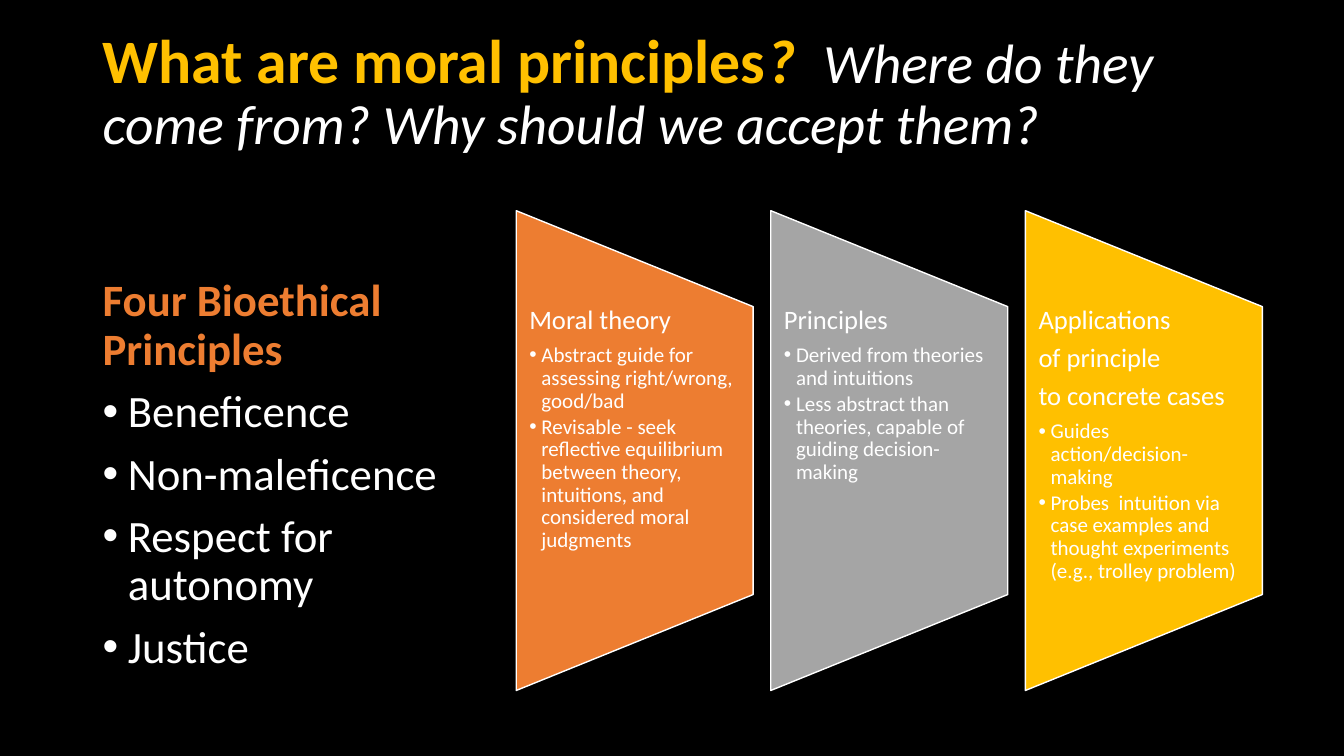
from dataclasses import dataclass

from lxml.etree import SubElement
from pptx import Presentation
from pptx.dml.color import RGBColor
from pptx.enum.shapes import MSO_SHAPE as Shape
from pptx.enum.text import MSO_ANCHOR as Anchor
from pptx.oxml.ns import qn
from pptx.util import Inches, Pt


@dataclass(frozen=True)
class Theme:
    font: str = "Calibri"
    back: str = "000000"
    text: str = "FFFFFF"
    orange: str = "ED7D31"
    grey: str = "A5A5A5"
    gold: str = "FFC000"
    title: float = 44.1
    subtitle: float = 39.6
    body: float = 32
    heading: float = 19
    detail: float = 15


THEME = Theme()
WIDTH, HEIGHT = 13.33, 7.5

PRINCIPLES = ["Beneficence", "Non-maleficence", "Respect for autonomy", "Justice"]
STAGES = [
    (THEME.orange, ["Moral theory"],
     ["Abstract guide for assessing right/wrong, good/bad",
      "Revisable - seek reflective equilibrium between theory,  intuitions, "
      "and considered moral judgments"]),
    (THEME.grey, ["Principles"],
     ["Derived from theories and intuitions",
      "Less abstract than theories, capable of guiding decision-making"]),
    (THEME.gold, ["Applications", "of principle", "to concrete cases"],
     ["Guides action/decision-making",
      "Probes  intuition via case examples and thought experiments "
      "(e.g., trolley problem)"]),
]


def add_text_box(page, box, side=0.1, top=0.05, bottom=0.05, anchor=Anchor.TOP):
    frame = page.shapes.add_textbox(*map(Inches, box)).text_frame
    frame.word_wrap = True
    frame.vertical_anchor = anchor
    frame.margin_left = frame.margin_right = Inches(side)
    frame.margin_top, frame.margin_bottom = Inches(top), Inches(bottom)
    return frame


def add_para(frame, first=False, before=0, after=0, indent=0):
    """Add a paragraph; an indent above zero makes it a bullet."""
    para = frame.paragraphs[0] if first else frame.add_paragraph()
    para.line_spacing = 0.9
    para.space_before = Pt(0 if first else before)
    para.space_after = Pt(after)
    if indent:
        props = para._p.get_or_add_pPr()
        props.set("marL", str(Inches(indent)))
        props.set("indent", str(-Inches(indent)))
        SubElement(props, qn("a:buFont"), typeface="Arial")
        SubElement(props, qn("a:buChar"), char="•")
    return para


def add_span(para, text, size, color=THEME.text, bold=False, italic=False):
    span = para.add_run()
    span.text = text
    span.font.name = THEME.font
    span.font.size = Pt(size)
    span.font.bold, span.font.italic = bold, italic
    span.font.color.rgb = RGBColor.from_string(color)


def draw_title(page, box):
    # The deep bottom margin lifts the two lines above the middle of the box
    frame = add_text_box(page, box, bottom=0.65, anchor=Anchor.MIDDLE)
    para = add_para(frame, first=True)
    add_span(para, "What are moral principles", THEME.title, THEME.gold, bold=True)
    add_span(para, "?  ", THEME.title, THEME.gold, bold=True, italic=True)
    add_span(para, "Where do they come from? Why should we accept them?",
             THEME.subtitle, italic=True)


def draw_principles(page, box):
    frame = add_text_box(page, box)
    add_span(add_para(frame, first=True), "Four Bioethical Principles",
             THEME.body, THEME.orange, bold=True)
    for principle in PRINCIPLES:
        add_span(add_para(frame, before=10, indent=0.25), principle, THEME.body)


def draw_stage(page, box, color, headings, details):
    left, top, width, height = box

    # Trapezoid, turned so that its wide side stands on the left
    shift = (height - width) / 2
    panel = page.shapes.add_shape(
        Shape.FLOWCHART_MANUAL_OPERATION,
        *map(Inches, (left - shift, top + shift, height, width)))
    panel.rotation = 270
    panel.shadow.inherit = False
    panel.fill.solid()
    panel.fill.fore_color.rgb = RGBColor.from_string(color)
    panel.line.color.rgb = RGBColor.from_string(THEME.text)
    panel.line.width = Pt(1)

    # Text in the middle three fifths
    frame = add_text_box(page, (left, top + height / 5, width, height * 3 / 5),
                         side=0.13, top=0, bottom=0)
    for number, heading in enumerate(headings):
        add_span(add_para(frame, first=number == 0, after=THEME.heading * 0.35),
                 heading, THEME.heading)
    for detail in details:
        add_span(add_para(frame, after=THEME.detail * 0.15, indent=0.12),
                 detail, THEME.detail)


def draw_stages(page, box):
    left, top, width, height = box
    gap = 0.175
    panel_width = (width - gap * (len(STAGES) - 1)) / len(STAGES)
    for column, stage in enumerate(STAGES):
        panel_left = left + column * (panel_width + gap)
        draw_stage(page, (panel_left, top, panel_width, height), *stage)


def main():
    deck = Presentation()
    deck.slide_width, deck.slide_height = Inches(WIDTH), Inches(HEIGHT)
    page = deck.slides.add_slide(deck.slide_layouts[6])
    page.background.fill.solid()
    page.background.fill.fore_color.rgb = RGBColor.from_string(THEME.back)

    margin = WIDTH * 0.069
    draw_title(page, (margin, HEIGHT / 15, WIDTH - 2 * margin, 1.45))
    draw_principles(page, (margin, 2.71, WIDTH * 0.29, 4.11))
    draw_stages(page, (5.12, 2.09, 7.4, 4.76))
    deck.save("out.pptx")


if __name__ == "__main__":
    main()
